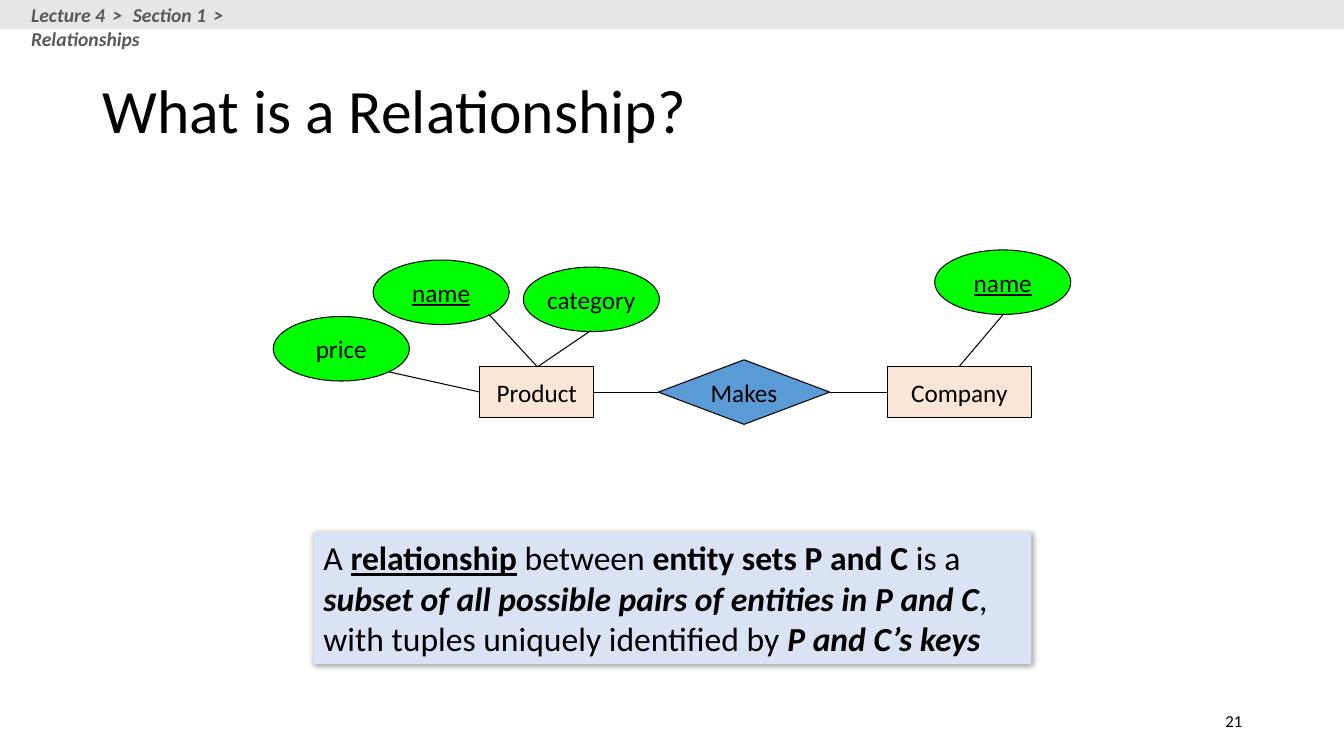
"""Build the slide that defines a relationship between two entity sets."""
from dataclasses import dataclass
from typing import NamedTuple

from lxml.etree import SubElement
from pptx import Presentation
from pptx.dml.color import RGBColor
from pptx.enum.shapes import MSO_CONNECTOR, MSO_SHAPE
from pptx.enum.text import MSO_ANCHOR as Anchor, MSO_AUTO_SIZE as AutoSize, PP_ALIGN as Align
from pptx.oxml.ns import qn
from pptx.shapes.autoshape import Shape
from pptx.shapes.shapetree import SlideShapes
from pptx.text.text import TextFrame
from pptx.util import Emu, Pt

EMU_PER_PX = 9144


@dataclass(frozen=True)
class Theme:
    font: str = "Calibri"
    ink: str = "000000"
    crumb_ink: str = "595959"
    banner: str = "E7E6E6"
    attribute: str = "00FF00"
    entity: str = "FBE5D6"
    relationship: str = "5B9BD5"
    definition: str = "DAE3F3"
    title_size: int = 44
    definition_size: int = 24
    label_size: int = 18
    crumb_size: int = 14
    number_size: int = 12
    outline: float = 0.75


class Box(NamedTuple):
    left: int
    top: int
    width: int
    height: int


class Span(NamedTuple):
    text: str
    bold: bool = False
    italic: bool = False
    underline: bool = False
    tracking: int = 0


class Node(NamedTuple):
    label: str
    kind: MSO_SHAPE
    fill: str
    box: Box
    is_key: bool = False


class Link(NamedTuple):
    x1: int
    y1: int
    x2: int
    y2: int


THEME = Theme()


def attribute(label: str, left: int, top: int, is_key: bool = False) -> Node:
    return Node(label, MSO_SHAPE.OVAL, THEME.attribute, Box(left, top, 135, 64), is_key)


def entity(label: str, left: int, width: int) -> Node:
    return Node(label, MSO_SHAPE.RECTANGLE, THEME.entity, Box(left, 364, width, 50))


NODES = [
    Node("Makes", MSO_SHAPE.DIAMOND, THEME.relationship, Box(653, 357, 170, 64)),
    entity("Product", 476, 113),
    entity("Company", 880, 143),
    attribute("name", 370, 258, is_key=True),
    attribute("category", 519, 265),
    attribute("price", 271, 314),
    attribute("name", 927, 248, is_key=True),
]

LINKS = [
    Link(386, 369, 476, 389),
    Link(485, 312, 533, 364),
    Link(586, 328, 533, 364),
    Link(995, 312, 951, 364),
    Link(589, 389, 653, 389),
    Link(823, 389, 880, 389),
]

DEFINITION = [
    Span("A "),
    Span("relationship", bold=True, underline=True),
    Span(" between "),
    Span("entity sets P and C ", bold=True),
    Span("is a "),
    Span("subset of all possible pairs of entities in P and C", bold=True, italic=True),
    Span(", with tuples uniquely identified by "),
    Span("P and C’s keys", bold=True, italic=True),
]

CRUMB_DIVIDER = Span(" > ", bold=True, italic=True, tracking=210)
BREADCRUMB = [
    Span("Lecture 4", bold=True, italic=True),
    CRUMB_DIVIDER,
    Span("Section 1", bold=True, italic=True),
    CRUMB_DIVIDER,
    Span("Relationships", bold=True, italic=True),
]


def px(length: int) -> Emu:
    return Emu(length * EMU_PER_PX)


def emu(lengths: tuple[int, ...]) -> list[Emu]:
    return [px(length) for length in lengths]


def write(frame: TextFrame, spans: list[Span], size: int, color: str = THEME.ink,
          align: Align = Align.LEFT, anchor: Anchor = Anchor.TOP, wrap: bool = True) -> None:
    frame.word_wrap = wrap
    frame.auto_size = AutoSize.NONE
    frame.vertical_anchor = anchor
    paragraph = frame.paragraphs[0]
    paragraph.alignment = align
    for span in spans:
        run = paragraph.add_run()
        run.text = span.text
        font = run.font
        font.name, font.size = THEME.font, Pt(size)
        font.bold, font.italic, font.underline = span.bold, span.italic, span.underline
        font.color.rgb = RGBColor.from_string(color)
        if span.tracking:
            font._element.set("spc", str(span.tracking))


def add_panel(shapes: SlideShapes, kind: MSO_SHAPE, box: Box, fill: str) -> Shape:
    panel = shapes.add_shape(kind, *emu(box))
    panel.fill.solid()
    panel.fill.fore_color.rgb = RGBColor.from_string(fill)
    panel.line.fill.background()
    panel.shadow.inherit = False
    return panel


def add_node(shapes: SlideShapes, node: Node) -> None:
    body = add_panel(shapes, node.kind, node.box, node.fill)
    body.line.color.rgb = RGBColor.from_string(THEME.ink)
    body.line.width = Pt(THEME.outline)
    write(body.text_frame, [Span(node.label, underline=node.is_key)], THEME.label_size,
          align=Align.CENTER, anchor=Anchor.MIDDLE, wrap=False)


def add_link(shapes: SlideShapes, link: Link) -> None:
    edge = shapes.add_connector(MSO_CONNECTOR.STRAIGHT, *emu(link))
    edge.line.color.rgb = RGBColor.from_string(THEME.ink)
    edge.line.width = Pt(THEME.outline)
    SubElement(edge._element.spPr, qn("a:effectLst"))


def add_definition(shapes: SlideShapes) -> None:
    panel = add_panel(shapes, MSO_SHAPE.RECTANGLE, Box(311, 528, 712, 131), THEME.definition)
    effects = panel._element.spPr.find(qn("a:effectLst"))
    shadow = SubElement(effects, qn("a:outerShdw"), blurRad=str(Pt(4)), dist=str(Pt(1)),
                        dir="2700000", algn="tl", rotWithShape="0")
    shade = SubElement(shadow, qn("a:srgbClr"), val=THEME.ink)
    SubElement(shade, qn("a:alpha"), val="40000")
    write(panel.text_frame, DEFINITION, THEME.definition_size)


def main() -> None:
    deck = Presentation()
    deck.slide_width, deck.slide_height = emu((1333, 750))
    shapes = deck.slides.add_slide(deck.slide_layouts[5]).shapes

    title = shapes.title
    title.left, title.top, title.width, title.height = emu(Box(92, 40, 1150, 145))
    write(title.text_frame, [Span("What is a Relationship?")], THEME.title_size,
          anchor=Anchor.MIDDLE)
    title.text_frame.paragraphs[0].line_spacing = 0.9

    page_number = shapes.add_textbox(*emu(Box(942, 695, 300, 40)))
    write(page_number.text_frame, [Span("21")], THEME.number_size,
          align=Align.RIGHT, anchor=Anchor.MIDDLE)

    for node in NODES:
        add_node(shapes, node)
    for link in LINKS:
        add_link(shapes, link)
    add_definition(shapes)

    add_panel(shapes, MSO_SHAPE.RECTANGLE, Box(0, 0, 1333, 29), THEME.banner)
    breadcrumb = shapes.add_textbox(*emu(Box(21, -2, 323, 34)))
    write(breadcrumb.text_frame, BREADCRUMB, THEME.crumb_size, THEME.crumb_ink)

    deck.save("out.pptx")


if __name__ == "__main__":
    main()
